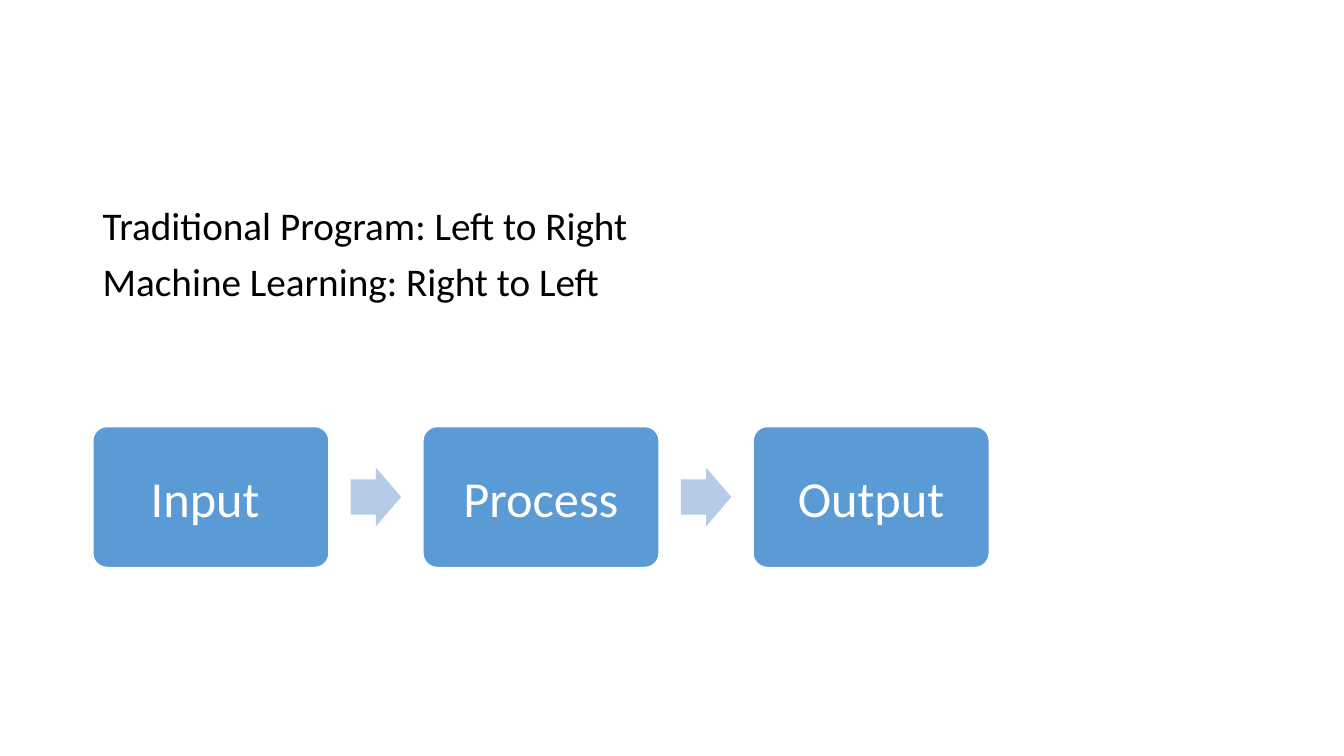
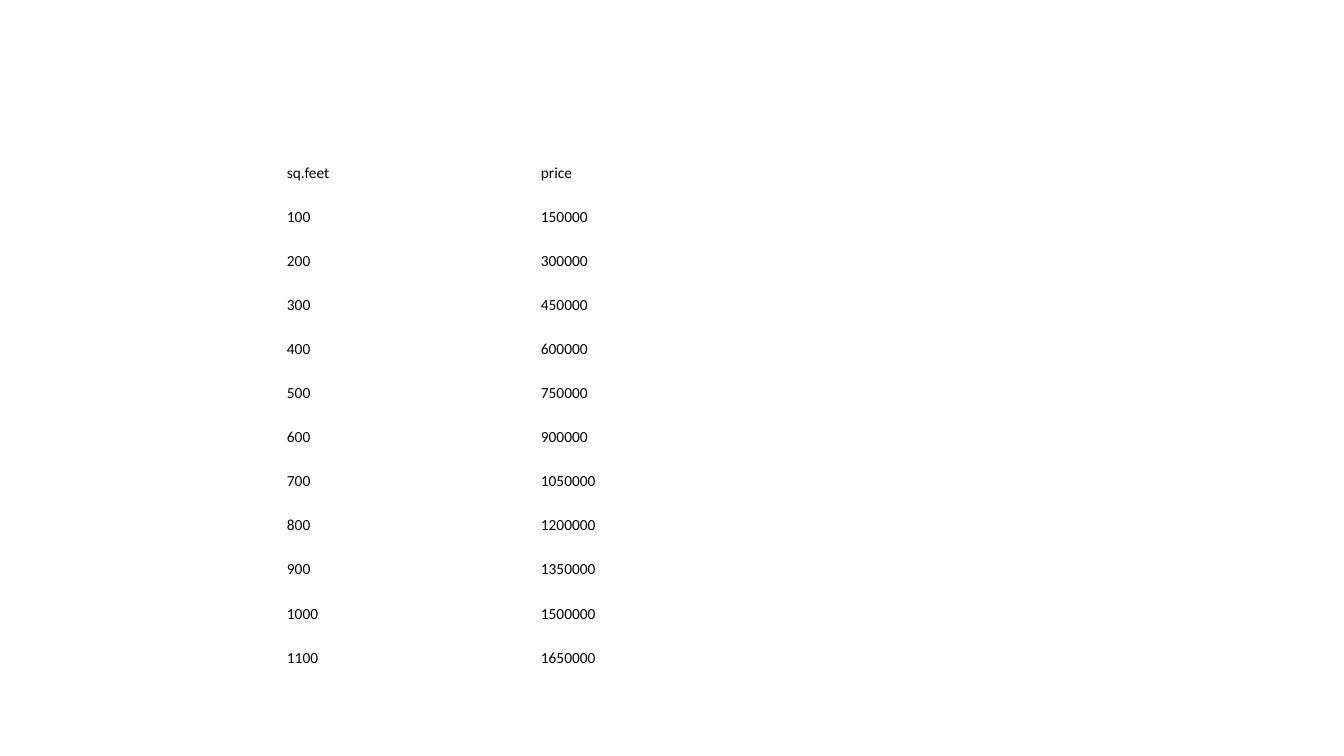
from pptx import Presentation
from pptx.dml.color import RGBColor
from pptx.enum.shapes import MSO_SHAPE as Shape
from pptx.enum.text import MSO_ANCHOR as Anchor, PP_ALIGN as Align
from pptx.util import Cm, Pt

FONT = "Calibri"
BLACK = RGBColor(0x00, 0x00, 0x00)
WHITE = RGBColor(0xFF, 0xFF, 0xFF)
BLUE = RGBColor(0x5B, 0x9B, 0xD5)
PALE_BLUE = RGBColor(0xB5, 0xCB, 0xE7)

DIRECTIONS = [
    "Traditional Program: Left to Right",
    "Machine Learning: Right to Left",
]
STEPS = ["Input ", "Process", "Output"]
HEADINGS = ("sq.feet", "price")
PRICE_PER_FOOT = 1500
HOUSES = [(feet, feet * PRICE_PER_FOOT) for feet in range(100, 1101, 100)]

# Lengths in centimetres
LEFT = 2.34
STEP_TOP, STEP_WIDTH, STEP_HEIGHT, STEP_PITCH = 10.75, 5.95, 3.55, 8.32
ARROW_WIDTH, ARROW_HEIGHT = 1.27, 1.48
COLUMN_WIDTHS = (6.4, 9.7)
ROW_HEIGHT = 1.11


def style_text(paragraph, size, color):
    for run in paragraph.runs:
        run.font.name = FONT
        run.font.size = Pt(size)
        run.font.color.rgb = color


def set_margins(target, left, top, right, bottom):
    target.margin_left, target.margin_top = Cm(left), Cm(top)
    target.margin_right, target.margin_bottom = Cm(right), Cm(bottom)


def add_filled_shape(slide, kind, left, top, width, height, color, adjustments):
    shape = slide.shapes.add_shape(kind, Cm(left), Cm(top), Cm(width), Cm(height))
    shape.shadow.inherit = False
    shape.fill.solid()
    shape.fill.fore_color.rgb = color
    shape.line.fill.background()
    for index, value in enumerate(adjustments):
        shape.adjustments[index] = value
    return shape


def add_directions(slide):
    box = slide.shapes.add_textbox(Cm(LEFT), Cm(5.08), Cm(29.2), Cm(12.09))
    frame = box.text_frame
    frame.word_wrap = True
    frame.text = "\n".join(DIRECTIONS)
    for paragraph in frame.paragraphs:
        paragraph.line_spacing = 0.9
        paragraph.space_before = Pt(10)
        style_text(paragraph, 28, BLACK)


def add_step(slide, label, left):
    step = add_filled_shape(slide, Shape.ROUNDED_RECTANGLE, left, STEP_TOP,
                            STEP_WIDTH, STEP_HEIGHT, BLUE, [0.1])
    step.line.color.rgb = WHITE
    step.line.width = Pt(1)
    frame = step.text_frame
    frame.word_wrap = True
    frame.vertical_anchor = Anchor.MIDDLE
    set_margins(frame, 0.38, 0.38, 0.38, 0.38)
    frame.text = label
    paragraph = frame.paragraphs[0]
    paragraph.alignment = Align.CENTER
    style_text(paragraph, 36, WHITE)


def add_process(slide):
    arrow_offset = (STEP_PITCH + STEP_WIDTH - ARROW_WIDTH) / 2
    arrow_top = STEP_TOP + (STEP_HEIGHT - ARROW_HEIGHT) / 2
    for index, label in enumerate(STEPS):
        left = LEFT + index * STEP_PITCH
        add_step(slide, label, left)
        if index < len(STEPS) - 1:
            add_filled_shape(slide, Shape.RIGHT_ARROW, left + arrow_offset, arrow_top,
                             ARROW_WIDTH, ARROW_HEIGHT, PALE_BLUE, [0.6, 0.5])


def add_price_table(slide):
    rows = [HEADINGS, *HOUSES]
    table = slide.shapes.add_table(
        len(rows), len(HEADINGS), Cm(7.2), Cm(3.86),
        Cm(sum(COLUMN_WIDTHS)), Cm(ROW_HEIGHT * len(rows))).table
    table.first_row = False
    table.horz_banding = False
    for column, width in zip(table.columns, COLUMN_WIDTHS):
        column.width = Cm(width)
    for row, values in zip(table.rows, rows):
        row.height = Cm(ROW_HEIGHT)
        for cell, value in zip(row.cells, values):
            cell.fill.background()
            cell.vertical_anchor = Anchor.MIDDLE
            set_margins(cell, 0.03, 0.03, 0.03, 0.13)
            cell.text = str(value)
            style_text(cell.text_frame.paragraphs[0], 11, BLACK)


def main():
    presentation = Presentation()
    presentation.slide_width = Cm(33.87)
    presentation.slide_height = Cm(19.05)
    blank = presentation.slide_layouts[6]

    process_slide = presentation.slides.add_slide(blank)
    add_directions(process_slide)
    add_process(process_slide)

    add_price_table(presentation.slides.add_slide(blank))
    presentation.save("out.pptx")


if __name__ == "__main__":
    main()
